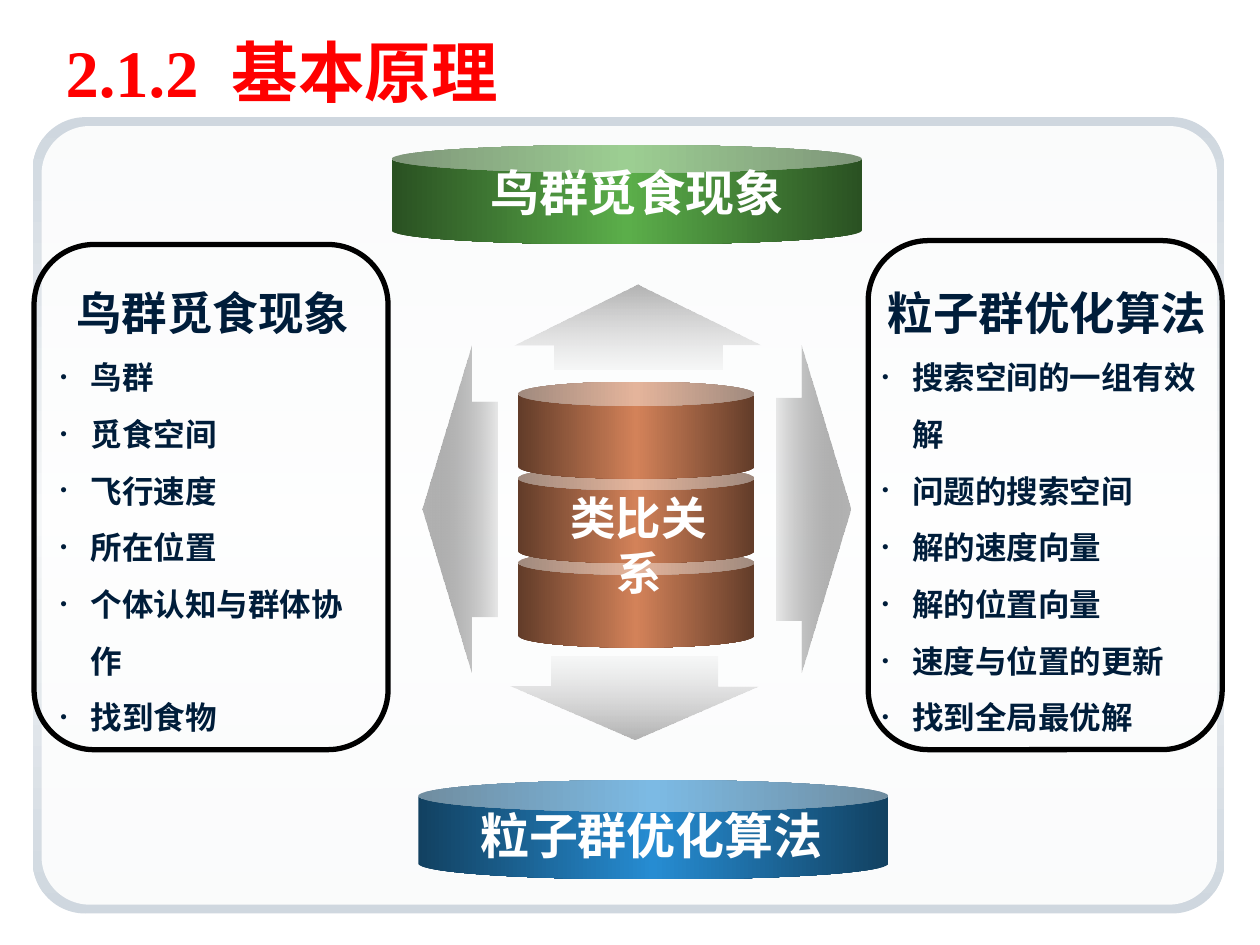
"""Build the slide comparing bird flock foraging with particle swarm optimisation."""
from lxml import etree
from pptx import Presentation, util as u
from pptx.dml.color import RGBColor
from pptx.enum import shapes, text
from pptx.oxml.ns import qn

theme = {
    "title": ("Times New Roman", 38, "FF0000"),
    "heading": ("DejaVu Sans", 26, "001D3A"),
    "item": ("DejaVu Sans", 18, "001D3A"),
    "banner": ("Arial", 28, "FFFFFF"),
    "core": ("Arial", 26, "FFFFFF"),
    "border": [(0, "CFD7DF", 100), (50, "F5F7F8", 100), (100, "CFD7DF", 100)],
    "panel": [(0, "FFFFFF", 90), (100, "FFFFFF", 90)],
    "green": [(0, "2A5122", 100), (50, "5BAE4A", 100), (100, "2A5122", 100)],
    "blue": [(0, "124161", 100), (50, "268CD2", 100), (100, "124161", 100)],
    "copper": [(0, "623C29", 100), (50, "D38259", 100), (100, "623C29", 100)],
    "fade_in": [(0, "CECECE", 12), (100, "B2B2B2", 100)],
    "fade_out": [(0, "B2B2B2", 100), (100, "CECECE", 12)],
    "dark_in": [(0, "525252", 12), (100, "B2B2B2", 100)],
    "dark_out": [(0, "B2B2B2", 100), (100, "525252", 12)],
    "frame": "000000",
}

deck = Presentation()
deck.slide_width, deck.slide_height = u.Inches(10), u.Inches(7.5)
column, row = deck.slide_width / 100, deck.slide_height / 75
page = deck.slides.add_slide(deck.slide_layouts[3])
kinds = shapes.MSO_SHAPE


def draw(kind, area, adjustments, angle=0, stops=()):
    left, top, width, height = area
    shape = page.shapes.add_shape(
        kind, int(left * column), int(top * row), int(width * column), int(height * row))
    shape.shadow.inherit = False
    shape.line.fill.background()
    for index, value in enumerate(adjustments):
        shape.adjustments[index] = value
    if not stops:
        shape.fill.background()
        return shape
    shape.fill.gradient()
    shape.fill.gradient_angle = -angle % 360
    stop_list = shape.fill._xPr.find(".//" + qn("a:gsLst"))
    for stop in list(stop_list):
        stop_list.remove(stop)
    for position, color, opacity in stops:
        stop = etree.SubElement(stop_list, qn("a:gs"), pos=str(position * 1000))
        tint = etree.SubElement(stop, qn("a:srgbClr"), val=color)
        if opacity < 100:
            etree.SubElement(tint, qn("a:alpha"), val=str(opacity * 1000))
    return shape


def style(para, role):
    face, size, color = theme[role]
    font = para.font
    font.name, font.size, font.bold = face, u.Pt(size), True
    font.color.rgb = RGBColor.from_string(color)


draw(kinds.ROUNDED_RECTANGLE, (2.6, 9.3, 94.6, 63.2), [0.066], 90, theme["border"])
draw(kinds.ROUNDED_RECTANGLE, (3.3, 10, 93.3, 61.8), [0.062], 90, theme["panel"])
for area in [(2.7, 19.4, 28.1, 40.1), (68.9, 19.1, 28.1, 40.4)]:
    frame = draw(kinds.ROUNDED_RECTANGLE, area, [0.17])
    frame.line.color.rgb = RGBColor.from_string(theme["frame"])
    frame.line.width = u.Pt(3)

title, *lists = page.placeholders
areas = [(4.2, 2.5, 93.3, 6.2), (3.8, 22.1, 26.2, 35.4), (69, 22.1, 28.2, 35.4)]
for box, (left, top, width, height) in zip([title, *lists], areas):
    page.shapes._spTree.append(box._element)
    box.left, box.top = int(left * column), int(top * row)
    box.width, box.height = int(width * column), int(height * row)
    box.text_frame.auto_size = text.MSO_AUTO_SIZE.NONE
    box.text_frame.word_wrap = True

title.text_frame.vertical_anchor = text.MSO_ANCHOR.MIDDLE
para = title.text_frame.paragraphs[0]
para.alignment = text.PP_ALIGN.LEFT
for words in ["2.1.2", " ", "基本原理"]:
    span = para.add_run()
    span.text = words
    if words == " ":
        span.font._element.set("spc", "950")
style(para, "title")

topics = [
    ("鸟群觅食现象", "鸟群", "觅食空间", "飞行速度", "所在位置", "个体认知与群体协作", "找到食物"),
    ("粒子群优化算法", "搜索空间的一组有效解", "问题的搜索空间", "解的速度向量",
     "解的位置向量", "速度与位置的更新", "找到全局最优解"),
]
for box, lines in zip(lists, topics):
    box.text_frame.vertical_anchor = text.MSO_ANCHOR.TOP
    box.text_frame.text = "\n".join(lines)
    for index, para in enumerate(box.text_frame.paragraphs):
        para.space_before = u.Pt(0)
        para.line_spacing = 1.5 if index else 1.0
        para.alignment = text.PP_ALIGN.LEFT if index else text.PP_ALIGN.CENTER
        settings = para._p.get_or_add_pPr()
        indent = int(2.4 * column) if index else 0
        settings.set("marL", str(indent))
        settings.set("indent", str(-indent))
        if index:
            bullet_color = etree.SubElement(settings, qn("a:buClr"))
            etree.SubElement(bullet_color, qn("a:srgbClr"), val=theme["item"][2])
            etree.SubElement(settings, qn("a:buSzPct"), val="60000")
            etree.SubElement(settings, qn("a:buChar"), char="•")
        else:
            etree.SubElement(settings, qn("a:buNone"))
        style(para, "item" if index else "heading")

draw(kinds.CAN, (31.1, 11.5, 37.3, 7.9), [0.28], 0, theme["green"])
draw(kinds.CAN, (33.2, 61.9, 37.3, 7.9), [0.32], 0, theme["blue"])
draw(kinds.DOWN_ARROW, (40.5, 52.1, 19.7, 6.6), [0.67, 0.64], 90, theme["fade_in"])
for level in (2, 1, 0):
    draw(kinds.CAN, (41.1, 30.3 + 6.7 * level, 18.8, 7.7), [0.25], 0, theme["copper"])
draw(kinds.LEFT_ARROW, (33.5, 27.4, 6, 26), [0.66, 0.65], 0, theme["dark_out"])
draw(kinds.RIGHT_ARROW, (61.6, 27.4, 5.9, 26), [0.68, 0.66], 0, theme["dark_in"])
draw(kinds.UP_ARROW, (40.8, 22.6, 19.6, 6.7), [0.68, 0.71], 90, theme["fade_out"])

labels = [
    ("鸟群觅食现象", "banner", (37.9, 12.4, 25.3, 5.7)),
    ("粒子群优化算法", "banner", (37.1, 63.4, 29.2, 5.7)),
    ("类比关系", "core", (42.5, 38.4, 16.4, 5.4)),
]
for words, role, (left, top, width, height) in labels:
    box = page.shapes.add_textbox(
        int(left * column), int(top * row), int(width * column), int(height * row))
    box.text_frame.word_wrap = False
    para = box.text_frame.paragraphs[0]
    para.text = words
    para.alignment = text.PP_ALIGN.CENTER
    style(para, role)

for box in list(page.placeholders):
    if not box.text_frame.text:
        page.shapes._spTree.remove(box._element)

deck.save("out.pptx")
